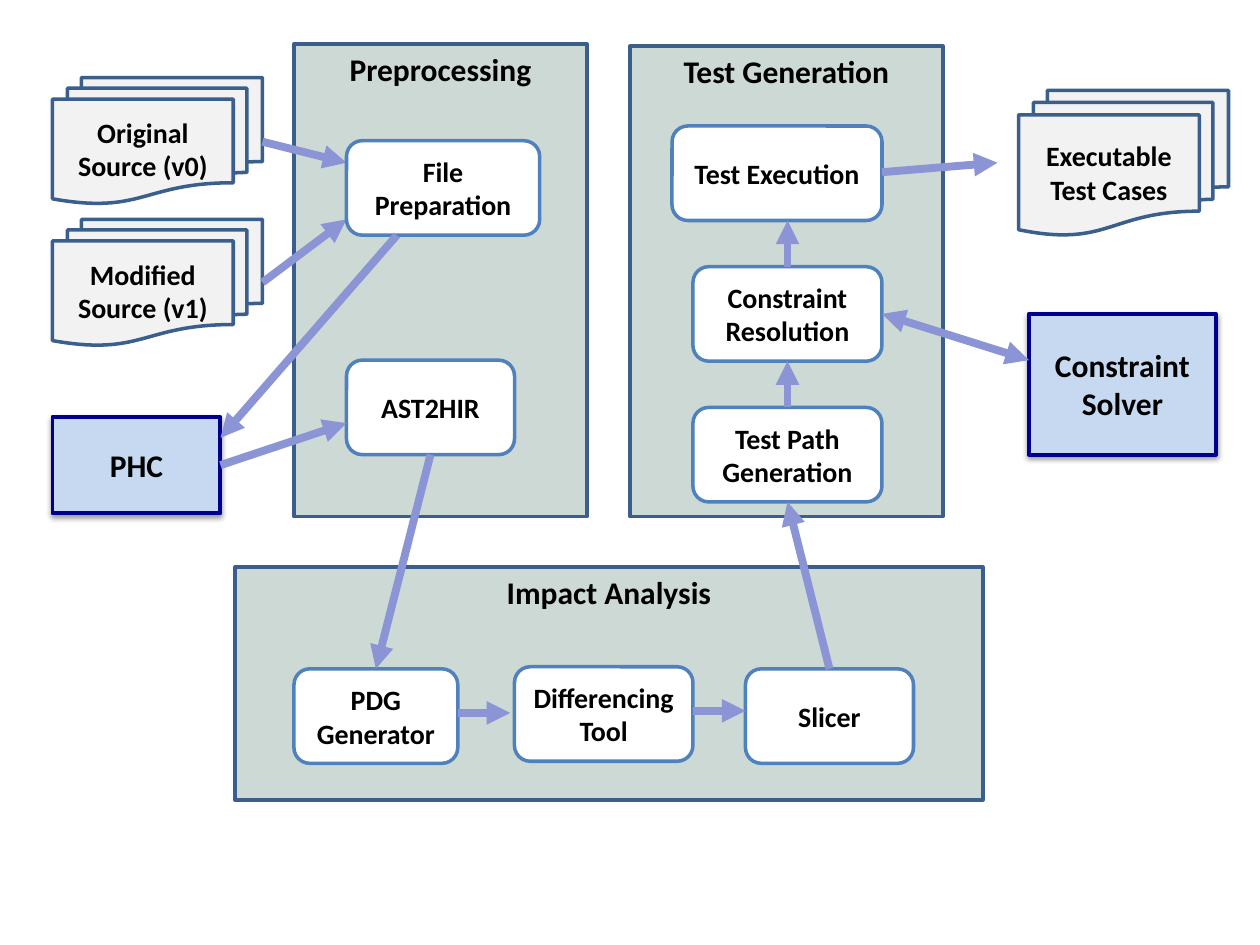
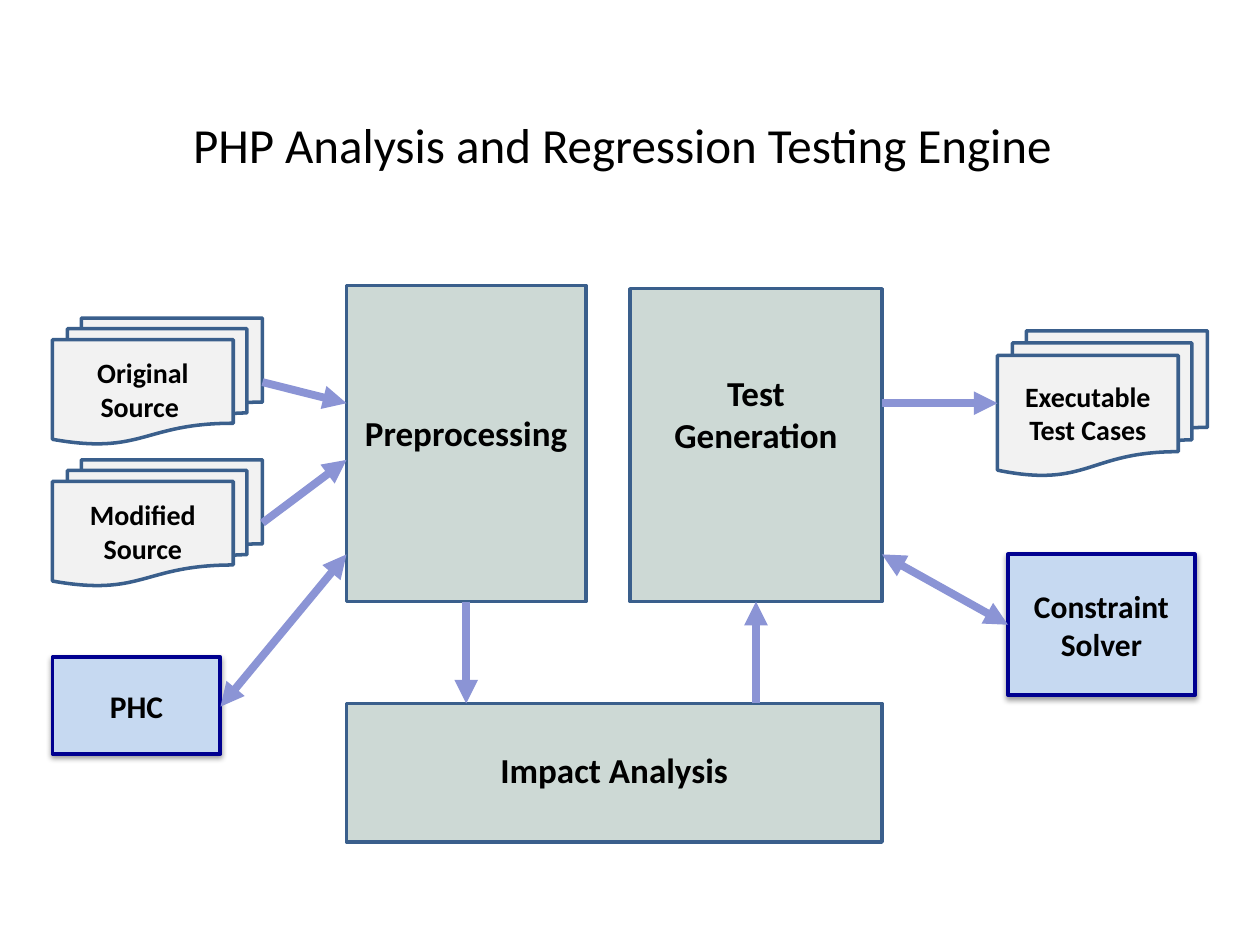
from lxml.etree import SubElement
from pptx import Presentation
from pptx.dml.color import RGBColor
from pptx.enum.shapes import MSO_CONNECTOR, MSO_SHAPE
from pptx.enum.text import MSO_ANCHOR, MSO_AUTO_SIZE, PP_ALIGN
from pptx.oxml.ns import qn
from pptx.util import Inches, Pt

COLUMNS, ROWS = 120, 90
WIDTH, HEIGHT = Inches(10), Inches(7.5)
BLANK = 6

BLACK = RGBColor(0x00, 0x00, 0x00)
WHITE = RGBColor(0xFF, 0xFF, 0xFF)
SAGE = RGBColor(0xCD, 0xD9, 0xD5)
STEEL = RGBColor(0x3A, 0x5F, 0x8C)
PAPER = RGBColor(0xF2, 0xF2, 0xF2)
BLUE = RGBColor(0x4F, 0x81, 0xBD)
SKY = RGBColor(0xC6, 0xD9, 0xF1)
NAVY = RGBColor(0x00, 0x00, 0x90)
LAVENDER = RGBColor(0x8B, 0x94, 0xD5)

TOP, MIDDLE = MSO_ANCHOR.TOP, MSO_ANCHOR.MIDDLE
STYLES = {
    "stage": dict(preset=MSO_SHAPE.RECTANGLE, fill=SAGE, outline=STEEL,
                  weight=2, size=18, anchor=TOP),
    "step": dict(preset=MSO_SHAPE.ROUNDED_RECTANGLE, fill=WHITE, outline=BLUE,
                 weight=2, size=16, anchor=MIDDLE),
    "files": dict(preset=MSO_SHAPE.FLOWCHART_MULTIDOCUMENT, fill=PAPER,
                  outline=STEEL, weight=2, size=16, anchor=MIDDLE),
    "tool": dict(preset=MSO_SHAPE.RECTANGLE, fill=SKY, outline=NAVY,
                 weight=2.25, size=18, anchor=MIDDLE),
}
TOOL_SHADOW = dict(blurRad=Pt(3.1), dist=Pt(1.6), dir=90 * 60000,
                   rotWithShape=0)

STEP_HEIGHT = 9
TEST_PITCH = 13.4
OVERVIEW_DROP = 22.9


def col(count):
    return round(WIDTH * count / COLUMNS)


def row(count):
    return round(HEIGHT * count / ROWS)


def area(left, top, width, height):
    return col(left), row(top), col(width), row(height)


def apply(target, values):
    for name, value in values.items():
        setattr(target, name, value)


def write(frame, text, size, bold, align):
    frame.text = text
    for paragraph in frame.paragraphs:
        paragraph.alignment = align
        for run in paragraph.runs:
            apply(run.font, dict(name="Calibri", size=Pt(size), bold=bold))
            run.font.color.rgb = BLACK


def cast_shadow(shape):
    effects = shape._element.spPr.find(qn("a:effectLst"))
    shadow = SubElement(effects, qn("a:outerShdw"))
    for name, value in TOOL_SHADOW.items():
        shadow.set(name, str(value))
    tint = SubElement(shadow, qn("a:srgbClr"), val=str(BLACK))
    SubElement(tint, qn("a:alpha"), val="38000")


def add_box(slide, kind, text, place, size=None, inset=0.05):
    style = STYLES[kind]
    box = slide.shapes.add_shape(style["preset"], *area(*place))
    box.fill.solid()
    box.fill.fore_color.rgb = style["fill"]
    box.line.color.rgb = style["outline"]
    box.line.width = Pt(style["weight"])
    box.shadow.inherit = False
    if kind == "tool":
        cast_shadow(box)
    apply(box.text_frame, dict(word_wrap=True, margin_top=Inches(inset),
                               vertical_anchor=style["anchor"]))
    write(box.text_frame, text, size or style["size"], True, PP_ALIGN.CENTER)


def add_arrow(slide, start, end, both=False):
    arrow = slide.shapes.add_connector(
        MSO_CONNECTOR.STRAIGHT,
        col(start[0]), row(start[1]), col(end[0]), row(end[1]))
    arrow.line.color.rgb = LAVENDER
    arrow.line.width = Pt(4.5)
    properties = arrow._element.spPr
    outline = properties.find(qn("a:ln"))
    for tip in ("headEnd", "tailEnd") if both else ("tailEnd",):
        SubElement(outline, qn("a:" + tip), type="triangle")
    SubElement(properties, qn("a:effectLst"))


def add_title(slide, text, place):
    title = slide.shapes.add_textbox(*area(*place))
    apply(title.text_frame, dict(word_wrap=False,
                                 auto_size=MSO_AUTO_SIZE.SHAPE_TO_FIT_TEXT))
    write(title.text_frame, text, 28, False, PP_ALIGN.LEFT)


def add_surroundings(slide, original, modified, drop=0, shift=0):
    add_box(slide, "files", modified, (5, 20.9 + drop, 20, 12))
    add_box(slide, "files", original, (5, 7.4 + drop, 20, 12))
    add_box(slide, "tool", "PHC", (5, 39.7 + drop, 16, 9.2))
    add_box(slide, "tool", "Constraint Solver",
            (98 + shift, 29.9 + drop, 17.8, 13.4))
    add_box(slide, "files", "Executable\nTest Cases",
            (97 + shift, 8.6 + drop, 20, 13.8))
    add_arrow(slide, (25, 13.5 + drop), (33, 15.5 + drop))
    add_arrow(slide, (25, 26.9 + drop), (33, 20.9 + drop))


def build_detail(slide):
    for text, place in (
            ("Preprocessing", (28, 4.2, 27.9, 45)),
            ("Test Generation", (60, 4.4, 29.8, 44.8)),
            ("Impact Analysis", (22.4, 54, 71.2, 22.2))):
        add_box(slide, "stage", text, place)
    add_surroundings(slide, "Original\nSource (v0)", "Modified\nSource (v1)")

    for text, left, top, width in (
            ("File Preparation", 33, 13.4, 18.4),
            ("AST2HIR", 33, 34.3, 16),
            ("PDG Generator", 28, 63.7, 15.6),
            ("Differencing\nTool", 49, 63.5, 17),
            ("Slicer", 71, 63.7, 16)):
        add_box(slide, "step", text, (left, top, width, STEP_HEIGHT))

    test_steps = (("Test Execution", 64, 20),
                  ("Constraint Resolution", 66, 18),
                  ("Test Path Generation", 66, 18))
    for index, (text, left, width) in enumerate(test_steps):
        top = 12 + index * TEST_PITCH
        add_box(slide, "step", text, (left, top, width, STEP_HEIGHT))
        if index:
            add_arrow(slide, (75, top),
                      (75, top - TEST_PITCH + STEP_HEIGHT))

    for start, end in (
            ((37.8, 22.4), (21, 41.7)),
            ((21, 44.3), (33, 40.3)),
            ((41, 43.3), (35.8, 63.7)),
            ((79, 63.7), (75, 47.8)),
            ((84, 16.4), (95, 15.5)),
            ((43.6, 67.9), (48.6, 67.9)),
            ((66, 67.7), (71, 67.7))):
        add_arrow(slide, start, end)
    add_arrow(slide, (84, 29.9), (98, 34.3), both=True)


def build_overview(slide):
    for text, place, inset in (
            ("Preprocessing", (33, 27.2, 22.8, 30.1), 1),
            ("Test Generation", (60, 27.5, 24, 29.8), 0.66),
            ("Impact Analysis", (33, 67, 51, 13.2), 0.36)):
        add_box(slide, "stage", text, place, size=20, inset=inset)
    add_surroundings(slide, "Original\nSource ", "Modified\nSource",
                     drop=OVERVIEW_DROP, shift=-2)
    for start, end, both in (
            ((21, 67.3), (33, 52.8), True),
            ((44.4, 57.3), (44.4, 67), False),
            ((72, 67), (72, 57.3), False),
            ((84, 52.8), (96, 59.5), True),
            ((84, 38.4), (95, 38.4), False)):
        add_arrow(slide, start, end, both)
    add_title(slide, "PHP Analysis and Regression Testing Engine",
              (17.2, 10.3, 85.8, 6.8))


def main():
    deck = Presentation()
    apply(deck, dict(slide_width=WIDTH, slide_height=HEIGHT))
    for build in (build_detail, build_overview):
        build(deck.slides.add_slide(deck.slide_layouts[BLANK]))
    deck.save("out.pptx")


main()
